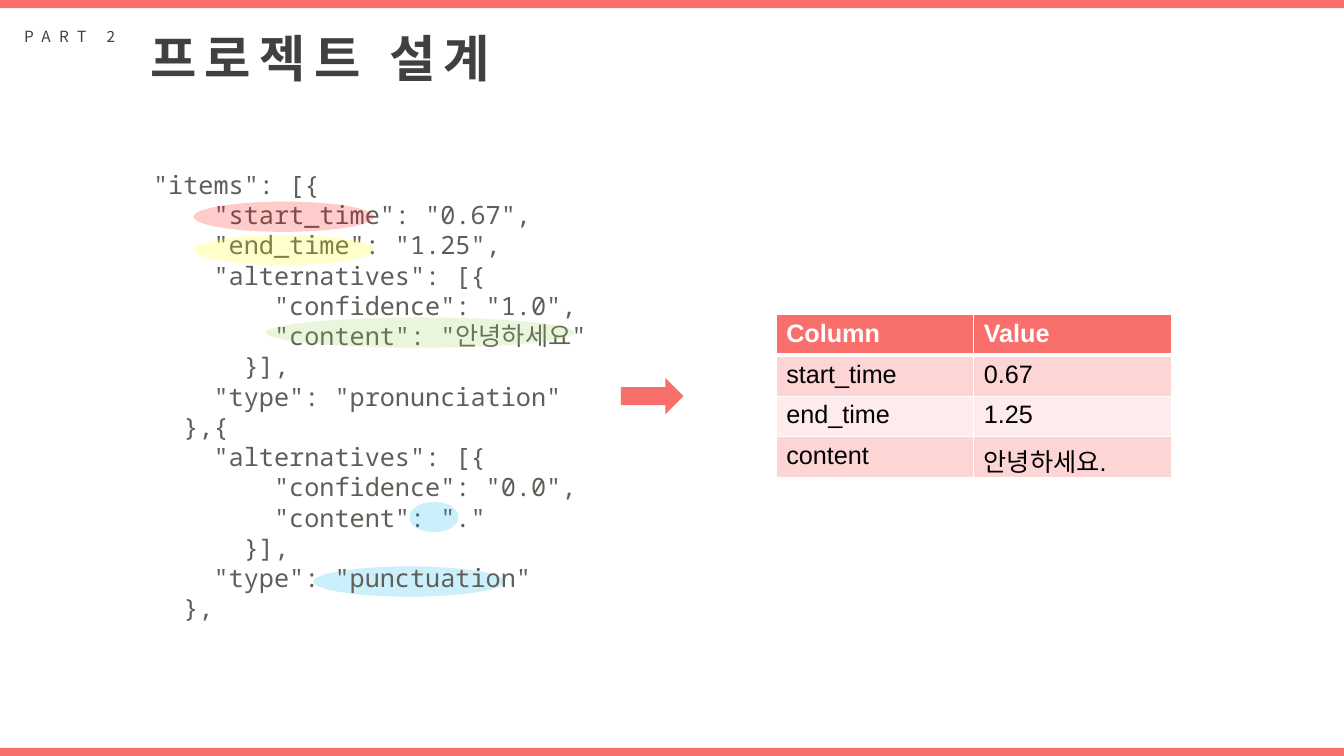
import pptx
import pptx.util
import pptx.dml.color
import pptx.enum.shapes
import pptx.enum.text
import pptx.oxml.ns
import lxml.etree

WIDE, HIGH = 13.333, 7.5
HUES = {
    "coral": "F86F6C", "ink": "404040", "code": "5F5E58", "white": "FFFFFF",
    "black": "000000", "rose": "FCD5D4", "blush": "FEEBEB", "ice": "CCEFFC",
    "red": "FF0000", "yellow": "FFFF00", "green": "92D050", "blue": "00B0F0",
}
KIND = pptx.enum.shapes.MSO_SHAPE
FIT = pptx.enum.text.MSO_AUTO_SIZE
TOP = pptx.enum.text.MSO_ANCHOR.TOP
LEFT = pptx.enum.text.PP_ALIGN.LEFT

SANS = "Noto Sans CJK KR"
MONO = "Noto Sans Mono"
HEAD = {"name": SANS, "size": pptx.util.Pt(36), "bold": True}
PART = {"name": SANS, "size": pptx.util.Pt(11)}
CODE = {"name": MONO, "size": pptx.util.Pt(18)}
CELL = {"name": "Arial", "size": pptx.util.Pt(18)}

ITEMS = '''"items": [{
    "start_time": "0.67",
    "end_time": "1.25",
    "alternatives": [{
        "confidence": "1.0",
        "content": "안녕하세요"
      }],
    "type": "pronunciation"
  },{
    "alternatives": [{
        "confidence": "0.0",
        "content": "."
      }],
    "type": "punctuation"
  },'''

ROWS = [
    ("Column", "Value"),
    ("start_time", "0.67"),
    ("end_time", "1.25"),
    ("content", "안녕하세요."),
]

MARKS = [
    (14.4, 26.67, 13.43, "red"),
    (14.4, 31.07, 13.43, "yellow"),
    (19.8, 42, 22.95, "green"),
    (30.45, 66.4, 3.68, "blue"),
]


def share(left, top, width, height):
    return [
        pptx.util.Inches(part * full / 100)
        for part, full in zip((left, top, width, height), (WIDE, HIGH) * 2)
    ]


def color(name):
    return pptx.dml.color.RGBColor.from_string(HUES[name])


def child(node, tag, **attrs):
    return lxml.etree.SubElement(node, pptx.oxml.ns.qn(tag), attrs)


def paint(item, hue):
    item.fill.solid()
    item.fill.fore_color.rgb = color(hue)


def style(item, values):
    for key, value in values.items():
        setattr(item, key, value)


def write(frame, text, form, hue, gap=0, asian=None):
    for index, line in enumerate(text.split("\n")):
        para = frame.add_paragraph() if index else frame.paragraphs[0]
        para.alignment = LEFT
        run = para.add_run()
        run.text = line
        style(run.font, form)
        run.font.color.rgb = color(hue)
        props = run._r.get_or_add_rPr()
        if gap:
            props.set("spc", str(gap * 100))
        if asian:
            child(props, "a:ea", typeface=asian)


def shape(slide, kind, area, hue, alpha=None):
    item = slide.shapes.add_shape(kind, *share(*area))
    item.shadow.inherit = False
    item.line.fill.background()
    paint(item, hue)
    if alpha:
        tint = item._element.spPr.find(".//" + pptx.oxml.ns.qn("a:srgbClr"))
        child(tint, "a:alpha", val=str(alpha * 1000))


def label(item, area, text, form, hue, gap=0, wrap=False):
    spots = ("left", "top", "width", "height")
    style(item, dict(zip(spots, share(*area))))
    frame = item.text_frame
    style(frame, {
        "word_wrap": wrap,
        "auto_size": FIT.NONE if wrap else FIT.SHAPE_TO_FIT_TEXT,
        "vertical_anchor": TOP,
    })
    write(frame, text, form, hue, gap, SANS)


def edge(cell, row):
    props = cell._tc.get_or_add_tcPr()
    thick = {"L": 1, "R": 1, "T": 3 if row == 1 else 1, "B": 1 if row else 3}
    for side, points in thick.items():
        line = child(props, "a:ln" + side, w=str(pptx.util.Pt(points)))
        fill = child(line, "a:solidFill")
        child(fill, "a:srgbClr", val=HUES["white"])


def grid(slide, area):
    table = slide.shapes.add_table(len(ROWS), len(ROWS[0]), *share(*area)).table
    for row, texts in enumerate(ROWS):
        back = ("rose" if row % 2 else "blush") if row else "coral"
        for col, text in enumerate(texts):
            cell = table.cell(row, col)
            edge(cell, row)
            paint(cell, back)
            form = {**CELL, "bold": row == 0}
            write(cell.text_frame, text, form, "black" if row else "white")


def main():
    deck = pptx.Presentation()
    deck.slide_width = pptx.util.Inches(WIDE)
    deck.slide_height = pptx.util.Inches(HIGH)
    slide = deck.slides.add_slide(deck.slide_layouts[5])

    shape(slide, KIND.OVAL, (23.33, 74.93, 14.25, 4), "ice")
    for top in (0, 98.93):
        shape(slide, KIND.RECTANGLE, (0, top, 100, 1.07), "coral")

    label(slide.shapes.title, (10.43, 2.93, 27.68, 9.47),
          "프로젝트 설계", HEAD, "ink", gap=6)
    label(slide.shapes.add_textbox(0, 0, 0, 0), (1.05, 2.93, 9.38, 3.87),
          "PART 2", PART, "ink", gap=6)
    label(slide.shapes.add_textbox(0, 0, 0, 0), (10.65, 21.73, 35.1, 66),
          ITEMS, CODE, "code", wrap=True)

    for left, top, width, hue in MARKS:
        shape(slide, KIND.OVAL, (left, top, width, 4), hue, alpha=20)
    shape(slide, KIND.RIGHT_ARROW, (46.2, 50, 4.65, 4.8), "coral")
    grid(slide, (57.75, 41.6, 29.4, 21.6))
    deck.save("out.pptx")


if __name__ == "__main__":
    main()
